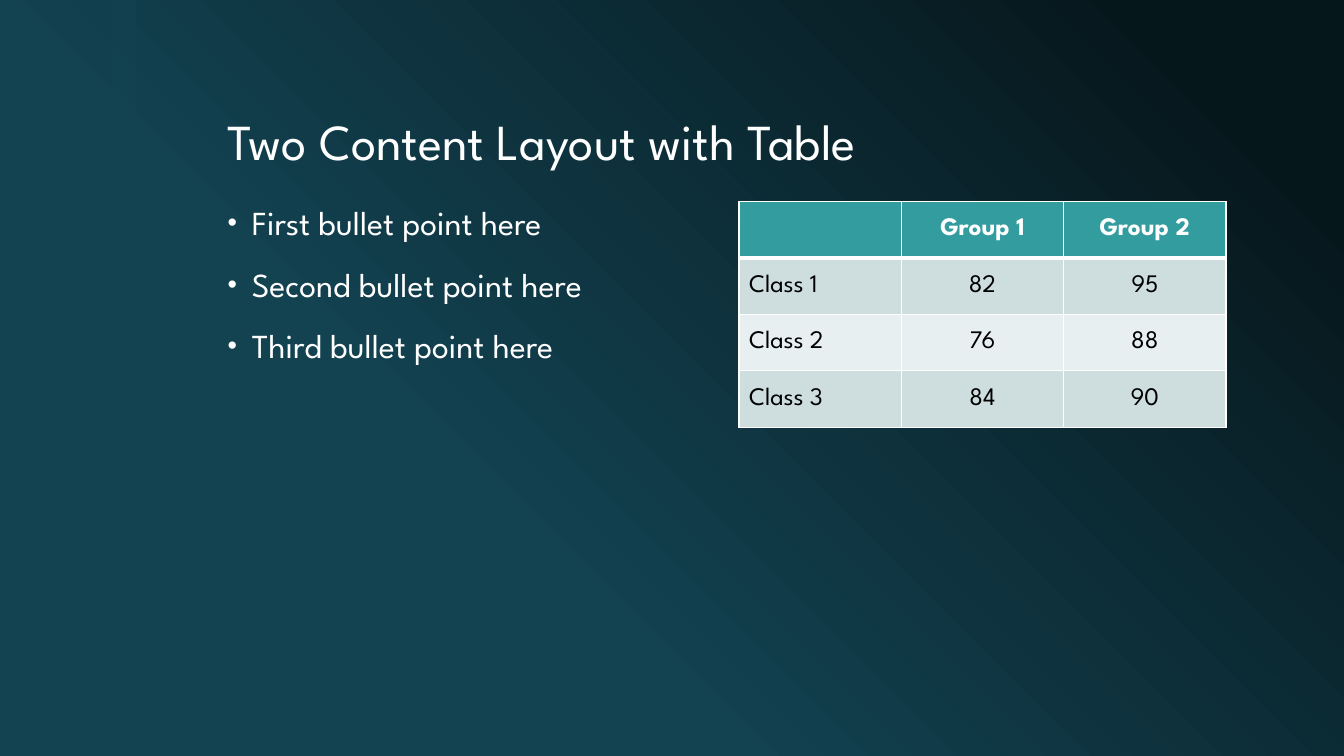
from copy import deepcopy

from lxml.etree import SubElement
from pptx import Presentation
from pptx.dml.color import RGBColor
from pptx.enum.shapes import MSO_SHAPE
from pptx.enum.text import MSO_ANCHOR, PP_ALIGN
from pptx.oxml.ns import qn
from pptx.util import Inches, Pt

FONT = "League Spartan"
WHITE = RGBColor(0xFF, 0xFF, 0xFF)
BLACK = RGBColor(0x00, 0x00, 0x00)
DARK = RGBColor(0x06, 0x17, 0x1C)
PETROL = RGBColor(0x13, 0x42, 0x51)
TEAL = RGBColor(0x33, 0x9C, 0x9F)
BANDS = (RGBColor(0xCE, 0xDE, 0xDF), RGBColor(0xE8, 0xEF, 0xF0))

# Grid: two equal columns inside the content area, in inches
PAGE_WIDTH, PAGE_HEIGHT = 13.33, 7.5
LEFT, CONTENT_WIDTH, COLUMN_WIDTH = 2.16, 10, 4.83
RIGHT_COLUMN = LEFT + CONTENT_WIDTH - COLUMN_WIDTH
CONTENT_TOP = 2
ROW_HEIGHT = 0.56

BULLETS = ("First bullet point here", "Second bullet point here", "Third bullet point here")
SCORES = (
    ("", "Group 1", "Group 2"),
    ("Class 1", "82", "95"),
    ("Class 2", "76", "88"),
    ("Class 3", "84", "90"),
)


def add_span(para, text, size, color, bold=False):
    span = para.add_run()
    span.text = text
    span.font.name = FONT
    span.font.size = Pt(size)
    span.font.color.rgb = color
    span.font.bold = bold


def paint_background(page):
    fill = page.background.fill
    fill.gradient()
    fill.gradient_angle = 225  # counter-clockwise: dark corner at top right
    stop_list = next(page.element.iter(qn("a:gsLst")))
    stop_list.append(deepcopy(stop_list[-1]))
    colors = ((0.1, DARK), (0.65, PETROL), (1, PETROL))
    for stop, (position, color) in zip(fill.gradient_stops, colors):
        stop.position = position
        stop.color.rgb = color


def add_side_band(page):
    band = page.shapes.add_shape(
        MSO_SHAPE.RECTANGLE, Inches(1.1), 0, Inches(0.25), Inches(PAGE_HEIGHT))
    band.shadow.inherit = False
    band.line.fill.background()
    band.fill.solid()
    band.fill.fore_color.rgb = PETROL
    color = next(band.element.spPr.iter(qn("a:srgbClr")))
    SubElement(color, qn("a:alpha"), val="60000")


def add_text_frame(page, top, width, height, anchor):
    box = page.shapes.add_textbox(Inches(LEFT), Inches(top), Inches(width), Inches(height))
    frame = box.text_frame
    frame.word_wrap = True
    frame.vertical_anchor = anchor
    return frame


def add_title(page, text):
    para = add_text_frame(page, 0.42, CONTENT_WIDTH, 1.33, MSO_ANCHOR.BOTTOM).paragraphs[0]
    para.line_spacing = 0.9
    add_span(para, text, 36, WHITE)


def add_bullets(page, items):
    frame = add_text_frame(page, CONTENT_TOP, COLUMN_WIDTH, 4.83, MSO_ANCHOR.TOP)
    for index, item in enumerate(items):
        para = frame.add_paragraph() if index else frame.paragraphs[0]
        para.line_spacing = 0.9
        para.space_before = Pt(18)
        add_span(para, item, 24, WHITE)
        # Hanging bullet at 80 % of the text size
        properties = para._p.get_or_add_pPr()
        properties.set("marL", str(Inches(0.24)))
        properties.set("indent", str(-Inches(0.24)))
        SubElement(properties, qn("a:buSzPct"), val="80000")
        SubElement(properties, qn("a:buFont"), typeface="Arial")
        SubElement(properties, qn("a:buChar"), char="•")


def set_borders(cell, widths):
    properties = cell._tc.get_or_add_tcPr()
    for index, (side, width) in enumerate(widths.items()):
        line = properties.makeelement(qn(f"a:ln{side}"), {"w": str(Pt(width))})
        fill = SubElement(line, qn("a:solidFill"))
        SubElement(fill, qn("a:srgbClr"), val=str(WHITE))
        properties.insert(index, line)


def add_score_table(page, rows):
    row_count, column_count = len(rows), len(rows[0])
    table = page.shapes.add_table(
        row_count, column_count, Inches(RIGHT_COLUMN), Inches(CONTENT_TOP),
        Inches(COLUMN_WIDTH), Inches(ROW_HEIGHT * row_count)).table
    for row_index, row in enumerate(rows):
        header = row_index == 0
        for column_index, text in enumerate(row):
            cell = table.cell(row_index, column_index)
            cell.vertical_anchor = MSO_ANCHOR.MIDDLE
            cell.fill.solid()
            cell.fill.fore_color.rgb = TEAL if header else BANDS[(row_index - 1) % 2]
            set_borders(cell, {"L": 1, "R": 1, "T": 3 if row_index == 1 else 1,
                               "B": 3 if header else 1})
            para = cell.text_frame.paragraphs[0]
            para.alignment = PP_ALIGN.CENTER if column_index else PP_ALIGN.LEFT
            if text:
                add_span(para, text, 18, WHITE if header else BLACK, header)


def main():
    deck = Presentation()
    deck.slide_width, deck.slide_height = Inches(PAGE_WIDTH), Inches(PAGE_HEIGHT)
    page = deck.slides.add_slide(deck.slide_layouts[6])
    paint_background(page)
    add_side_band(page)
    add_title(page, "Two Content Layout with Table")
    add_bullets(page, BULLETS)
    add_score_table(page, SCORES)
    deck.save("out.pptx")


if __name__ == "__main__":
    main()
